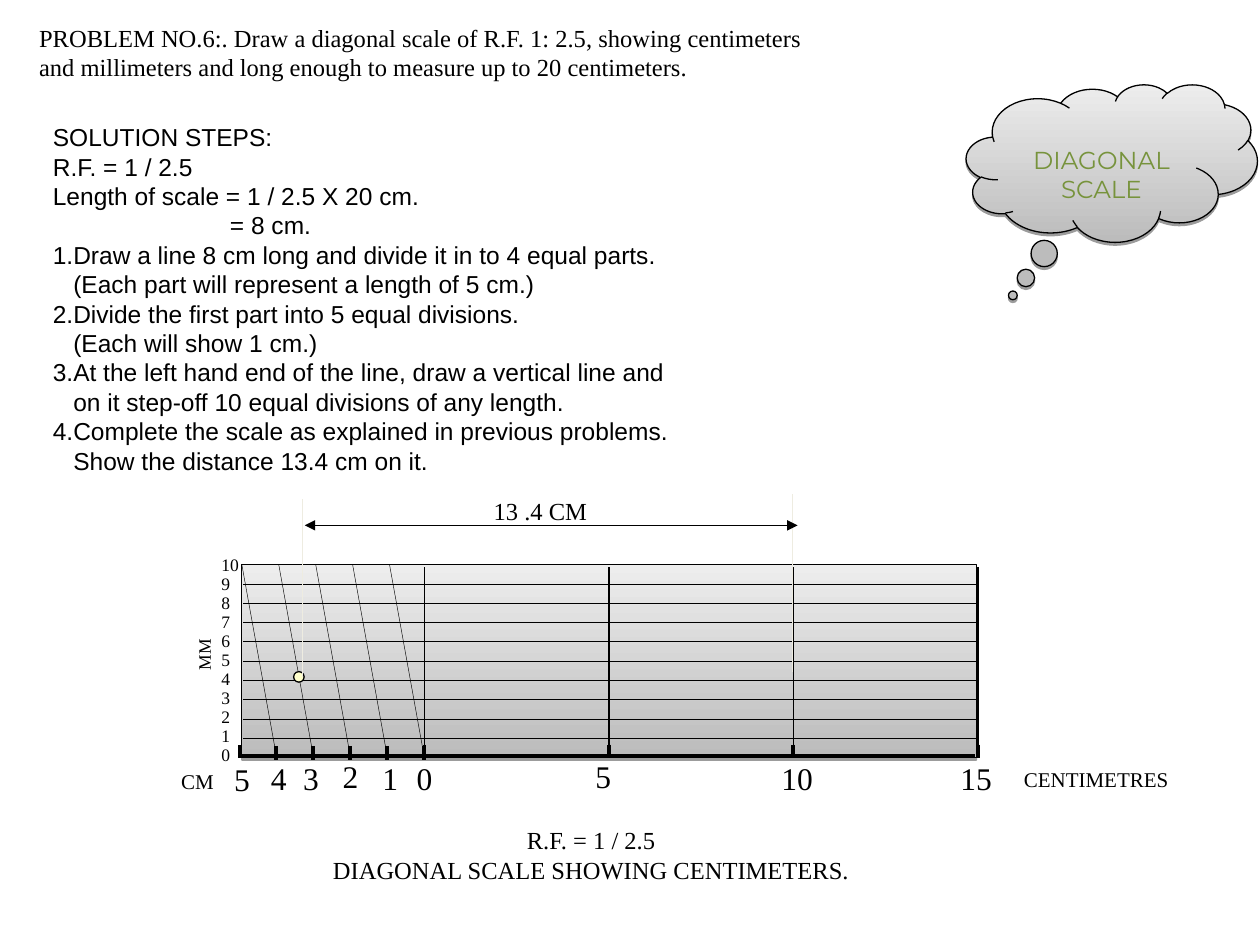
from dataclasses import dataclass

from lxml.etree import SubElement
from pptx import Presentation
from pptx.dml.color import RGBColor
from pptx.enum.shapes import MSO_CONNECTOR, MSO_SHAPE
from pptx.enum.text import MSO_ANCHOR, MSO_AUTO_SIZE, PP_ALIGN
from pptx.oxml.ns import qn
from pptx.util import Pt

SERIF, SANS, DISPLAY = "Times New Roman", "Arial", "Montserrat"
BLACK, GUIDE = "000000", "EEECE1"

# Frame of the diagonal scale
LEFT, TOP, WIDTH, HEIGHT = 138.2, 322.6, 419.8, 110.2
ZERO_X, MAJOR_STEP, MINOR_STEP = 242.6, 105.4, 21.1
BASE_Y = 433.4
ROWS = 10
ROW_STEP = HEIGHT / ROWS
NUMBER_WIDTH = 44


@dataclass
class Label:
    text: str
    left: float
    top: float
    width: float
    height: float
    size: float
    align: PP_ALIGN = PP_ALIGN.LEFT
    rotation: float = 0
    spacing: float = 1.0


@dataclass
class ScaleNumber:
    text: str
    center: float
    top: float


@dataclass
class Step:
    text: str
    indent: float = 0


SCALE_NUMBERS = [
    ScaleNumber("5", 138.3, 430.5), ScaleNumber("4", 159.4, 430),
    ScaleNumber("3", 177.7, 430), ScaleNumber("2", 200.3, 429.3),
    ScaleNumber("1", 223, 430), ScaleNumber("0", 242.6, 430),
    ScaleNumber("5", 344.7, 429.3), ScaleNumber("10", 455.5, 430),
    ScaleNumber("15", 557.8, 430),
]

LABELS = [
    Label("\n".join(str(mm) for mm in range(ROWS, -1, -1)),
          119.5, 314.6, 24.5, 126.7, 10, spacing=0.9),
    Label("CENTIMETRES", 578, 434.2, 97, 21.6, 12),
    Label("MM", 91.7, 364.5, 50, 19.4, 10, PP_ALIGN.CENTER, rotation=270),
    Label("CM", 96.5, 435.6, 36, 21.6, 12),
    Label("R.F. = 1 / 2.5\nDIAGONAL SCALE SHOWING CENTIMETERS.",
          183, 468, 309.6, 41, 14, PP_ALIGN.CENTER),
    Label("13 .4 CM", 275, 280.1, 70, 24.5, 14),
]

PROBLEM = ("PROBLEM NO.6:. Draw a diagonal scale of R.F. 1: 2.5, showing centimeters\n"
           "and millimeters and long enough to measure up to 20 centimeters.")

HANGING = 11.7
STEPS = [
    Step("SOLUTION STEPS:"),
    Step("R.F. = 1 / 2.5"),
    Step("Length of scale = 1 / 2.5 X 20 cm."),
    Step("= 8 cm.", 101.2),
    Step("1.Draw a line 8 cm long and divide it in to 4 equal parts."),
    Step("(Each part will represent a length of 5 cm.)", HANGING),
    Step("2.Divide the first part into 5 equal divisions."),
    Step("(Each will show 1 cm.)", HANGING),
    Step("3.At the left hand end of the line, draw a vertical line and"),
    Step("on it step-off 10 equal divisions of any length.", HANGING),
    Step("4.Complete the scale as explained in previous problems."),
    Step("Show the distance 13.4 cm on it.", HANGING),
]


def rgb(color: str) -> RGBColor:
    return RGBColor.from_string(color)


def place(shape, left: float, top: float, width: float, height: float) -> None:
    shape.left, shape.top, shape.width, shape.height = map(Pt, (left, top, width, height))


def format_text(frame, size: float, font: str = SERIF, color: str = BLACK,
                align: PP_ALIGN = PP_ALIGN.LEFT, spacing: float = 1.0) -> None:
    for paragraph in frame.paragraphs:
        paragraph.alignment = align
        paragraph.line_spacing = spacing
        paragraph.space_before = Pt(0)
        for run in paragraph.runs:
            run.font.size = Pt(size)
            run.font.name = font
            run.font.color.rgb = rgb(color)


def draw_label(slide, label: Label) -> None:
    box = slide.shapes.add_textbox(*map(Pt, (label.left, label.top, label.width, label.height)))
    box.rotation = label.rotation
    box.text_frame.word_wrap = False
    box.text_frame.text = label.text
    format_text(box.text_frame, label.size, align=label.align, spacing=label.spacing)


def draw_line(slide, x1: float, y1: float, x2: float, y2: float,
              weight: float, color: str = BLACK, arrows: bool = False) -> None:
    line = slide.shapes.add_connector(MSO_CONNECTOR.STRAIGHT, *map(Pt, (x1, y1, x2, y2)))
    line.line.width = Pt(weight)
    line.line.color.rgb = rgb(color)
    if arrows:
        outline = line.line._get_or_add_ln()
        for end in ("a:headEnd", "a:tailEnd"):
            SubElement(outline, qn(end), type="triangle")
    SubElement(line._element.spPr, qn("a:effectLst"))


def draw_shaded(slide, kind: MSO_SHAPE, left: float, top: float, width: float, height: float):
    """Add a shape with a grey gradient, a thin outline and a low shadow."""
    shape = slide.shapes.add_shape(kind, *map(Pt, (left, top, width, height)))
    shape.fill.gradient()
    shape.fill.gradient_angle = 90
    for stop, color in zip(shape.fill.gradient_stops, ("BCBCBC", "EDEDED")):
        stop.color.rgb = rgb(color)
    shape.line.color.rgb = rgb(BLACK)
    shape.line.width = Pt(0.75)
    effects = SubElement(shape._element.spPr, qn("a:effectLst"))
    shadow = SubElement(effects, qn("a:outerShdw"), blurRad="0", dist=str(Pt(1.6)),
                        dir="5400000", rotWithShape="0")
    tint = SubElement(shadow, qn("a:srgbClr"), val=BLACK)
    SubElement(tint, qn("a:alpha"), val="38000")
    return shape


def fill_placeholders(slide) -> None:
    problem, solution = slide.placeholders
    place(problem, 15.1, 9.4, 460, 41)
    place(solution, 23, 66.2, 372, 208.8)
    for placeholder in (problem, solution):
        placeholder.text_frame.auto_size = MSO_AUTO_SIZE.NONE
        placeholder.text_frame.vertical_anchor = MSO_ANCHOR.TOP
    problem.text_frame.text = PROBLEM
    format_text(problem.text_frame, 14)

    solution.text_frame.text = "\n".join(step.text for step in STEPS)
    for paragraph, step in zip(solution.text_frame.paragraphs, STEPS):
        properties = paragraph._p.get_or_add_pPr()
        properties.set("marL", str(Pt(step.indent)))
        properties.set("indent", "0")
        SubElement(properties, qn("a:buNone"))
    format_text(solution.text_frame, 14, SANS, align=PP_ALIGN.JUSTIFY)


def draw_scale(slide) -> None:
    draw_shaded(slide, MSO_SHAPE.RECTANGLE, LEFT, TOP, WIDTH, HEIGHT)
    draw_line(slide, 136.1, 432, 557.3, 432, 2.25)
    for i in range(5):
        tick_x = 157.7 + i * MINOR_STEP
        draw_line(slide, tick_x, 426.2, tick_x, 434.2, 2.25)
        diagonal_x = LEFT + i * MINOR_STEP
        draw_line(slide, diagonal_x, TOP, diagonal_x + 19.5, 430.6, 0.25)
    for i in range(-1, 4):
        major_x = ZERO_X + i * MAJOR_STEP
        draw_line(slide, major_x, 425.5, major_x, BASE_Y, 2.25)
        if i >= 0:
            draw_line(slide, major_x, 324, major_x, BASE_Y, 1)
    for row in range(1, ROWS):
        row_y = TOP + row * ROW_STEP
        draw_line(slide, 139, row_y, 558, row_y, 0.25)
    for number in SCALE_NUMBERS:
        draw_label(slide, Label(number.text, number.center - NUMBER_WIDTH / 2, number.top,
                                NUMBER_WIDTH, 29, 18, PP_ALIGN.CENTER))


def draw_measurement(slide) -> None:
    point = slide.shapes.add_shape(MSO_SHAPE.OVAL, *map(Pt, (167.8, 383.8, 6, 6)))
    point.shadow.inherit = False
    point.fill.solid()
    point.fill.fore_color.rgb = rgb("FFFFCC")
    point.line.color.rgb = rgb(BLACK)
    point.line.width = Pt(0.75)
    draw_line(slide, 172.8, 386.6, 172.8, 285.1, 0.75, GUIDE)
    draw_line(slide, 452.9, 383.8, 452.9, 282.2, 0.75, GUIDE)
    draw_line(slide, 174.2, 300.2, 455.8, 300.2, 0.75, arrows=True)


def draw_cloud(slide) -> None:
    cloud = draw_shaded(slide, MSO_SHAPE.CLOUD_CALLOUT, 552.2, 48.2, 166.3, 90)
    cloud.adjustments[0], cloud.adjustments[1] = -0.34, 0.84
    frame = cloud.text_frame
    frame.margin_top = Pt(20.6)
    frame.vertical_anchor = MSO_ANCHOR.MIDDLE
    frame.text = "DIAGONAL\nSCALE"
    format_text(frame, 14, DISPLAY, "77933C", PP_ALIGN.CENTER)


def main() -> None:
    presentation = Presentation()
    presentation.slide_width, presentation.slide_height = Pt(720), Pt(540)
    slide = presentation.slides.add_slide(presentation.slide_layouts[1])
    fill_placeholders(slide)
    draw_scale(slide)
    draw_measurement(slide)
    for label in LABELS:
        draw_label(slide, label)
    draw_cloud(slide)
    presentation.save("out.pptx")


if __name__ == "__main__":
    main()
